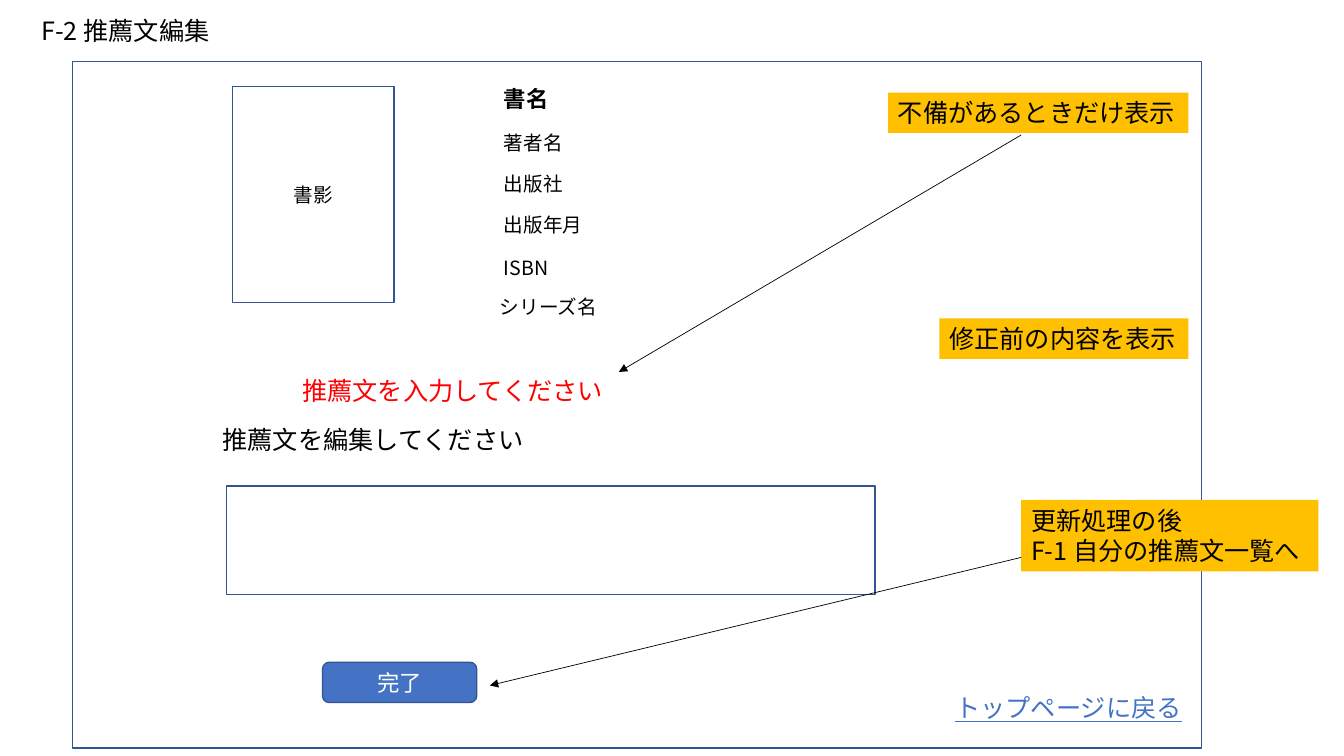
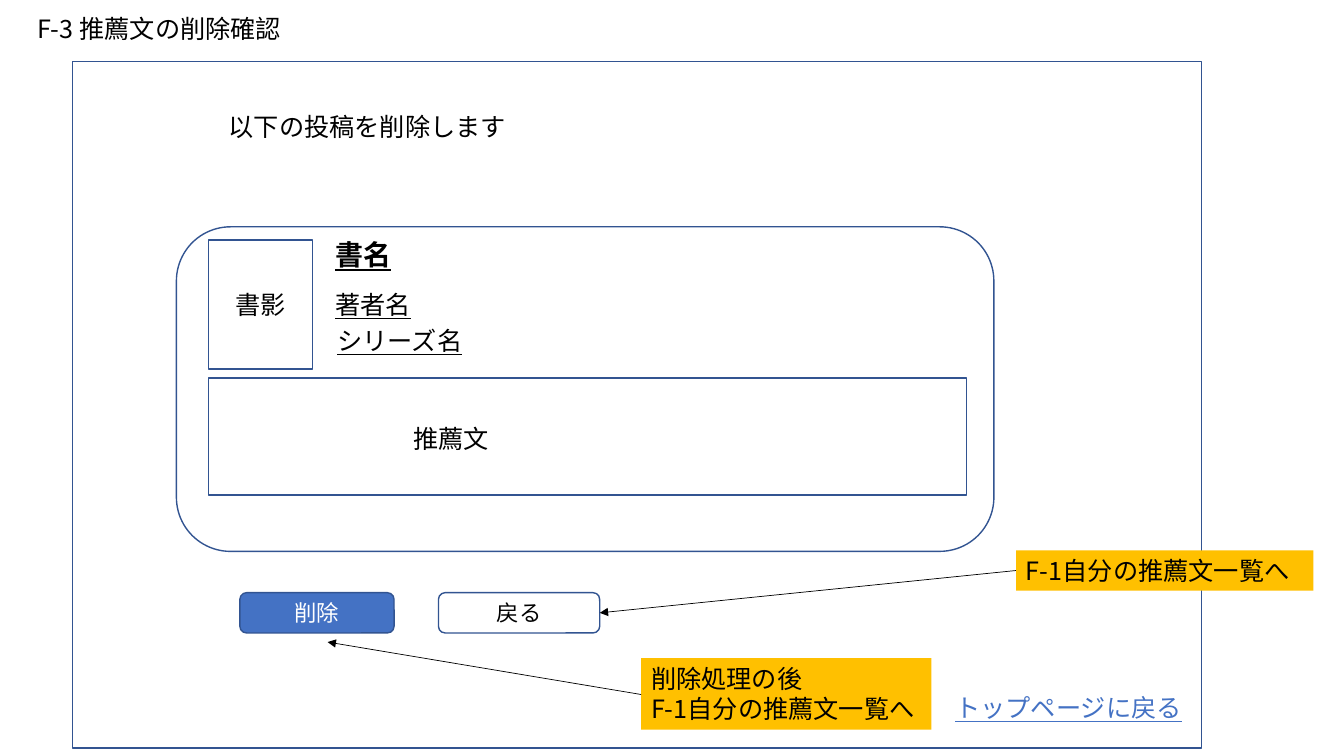
import dataclasses
import typing

import pptx
import pptx.dml.color
import pptx.enum.shapes
import pptx.enum.text
import pptx.oxml
import pptx.oxml.ns
import pptx.util

COLUMNS, ROWS = 133.33, 75
CELL = pptx.util.Inches(0.1)
RECTANGLE = pptx.enum.shapes.MSO_SHAPE.RECTANGLE
ROUNDED = pptx.enum.shapes.MSO_SHAPE.ROUNDED_RECTANGLE


@dataclasses.dataclass(frozen=True)
class Theme:
    font: str = "Noto Sans CJK JP"
    ink: str = "000000"
    white: str = "FFFFFF"
    outline: str = "325491"
    accent: str = "4472C4"
    note: str = "FFC000"
    warning: str = "FF0000"
    small: int = 14
    medium: int = 16
    body: int = 18
    large: int = 20
    outline_width: float = 1
    arrow_width: float = 0.5


THEME = Theme()


@dataclasses.dataclass(frozen=True)
class Style:
    size: int = THEME.body
    ink: str = THEME.ink
    fill: str | None = None
    preset: typing.Any = None
    bold: bool | None = None
    underline: bool | None = None
    wrap: bool = False


LABEL = Style()
WARNING = Style(ink=THEME.warning)
NOTE = Style(fill=THEME.note)
LINK = Style(ink=THEME.accent, underline=True)
UNDERLINED = Style(underline=True)
WRAPPED = Style(wrap=True)
DETAIL = Style(size=THEME.small, wrap=True)
BOOK_TITLE = Style(size=THEME.medium, bold=True, wrap=True)
CARD_TITLE = Style(size=THEME.large, bold=True, underline=True, wrap=True)
PANEL = Style(preset=RECTANGLE, wrap=True)
COVER = Style(size=THEME.small, preset=RECTANGLE, wrap=True)
CARD = Style(preset=ROUNDED, wrap=True)
BUTTON = Style(THEME.medium, THEME.white, THEME.accent, ROUNDED, wrap=True)
PLAIN_BUTTON = Style(size=THEME.medium, preset=ROUNDED, wrap=True)


@dataclasses.dataclass(frozen=True)
class Box:
    style: Style
    column: float
    row: float
    columns: float
    rows: float
    text: str = ""


@dataclasses.dataclass(frozen=True)
class Arrow:
    from_column: float
    from_row: float
    to_column: float
    to_row: float


Item = Box | Arrow

SHARED: list[Item] = [
    Box(PANEL, 7.2, 6.1, 112, 68.1),
    Box(LINK, 93.8, 68.2, 24.7, 4, "トップページに戻る"),
]

BOOK_DETAILS = [
    Box(DETAIL, 49, 12.5, 9.6, 3.4, "著者名"),
    Box(DETAIL, 49, 16.6, 16, 3.4, "出版社"),
    Box(DETAIL, 49, 20.6, 16, 3.4, "出版年月"),
    Box(DETAIL, 49, 24.9, 31, 3.4, "ISBN"),
    Box(DETAIL, 48.6, 28.8, 16, 3.4, "シリーズ名"),
]

EDIT_PAGE: list[Item] = [
    Box(LABEL, 3.1, 1, 19.4, 4, "F-2 推薦文編集"),
    Box(COVER, 23.1, 8.6, 16, 21.4, "書影"),
    Box(BOOK_TITLE, 49, 8, 7.6, 3.7, "書名"),
    *BOOK_DETAILS,
    Box(LABEL, 21.1, 41.6, 32.3, 4, "推薦文を編集してください"),
    Box(PANEL, 22.5, 48.2, 64.3, 10.8),
    Box(WARNING, 29, 36.7, 32.3, 4, "推薦文を入力してください"),
    Box(NOTE, 93.2, 31.6, 24.7, 4, "修正前の内容を表示"),
    Arrow(101.3, 13.4, 61.4, 36.9),
    Box(NOTE, 88.1, 9.2, 29.8, 4, "不備があるときだけ表示"),
    Box(BUTTON, 32, 65.7, 15.3, 4, "完了"),
    Box(NOTE, 101.3, 49.6, 29.5, 7.1, "更新処理の後\nF-1 自分の推薦文一覧へ"),
    Arrow(101.3, 55.3, 48.6, 68),
]

DELETE_PAGE: list[Item] = [
    Box(LABEL, 2.7, 0.8, 27, 4, "F-3 推薦文の削除確認"),
    Box(LABEL, 21.7, 10.6, 29.8, 4, "以下の投稿を削除します"),
    Box(BUTTON, 23.8, 58.8, 15.3, 4, "削除"),
    Box(PLAIN_BUTTON, 43.5, 58.8, 16, 4, "戻る"),
    Arrow(100.8, 56.6, 59.5, 60.8),
    Box(NOTE, 100.8, 54.6, 29.5, 4, "F-1自分の推薦文一覧へ"),
    Box(NOTE, 63.6, 65.3, 28.8, 7.1, "削除処理の後\nF-1自分の推薦文一覧へ"),
    Arrow(63.6, 68.9, 32.5, 63.7),
    Box(CARD, 17.5, 22.5, 81.1, 32.2),
    Box(PANEL, 20.7, 23.8, 10.3, 12.8, "書影"),
    Box(CARD_TITLE, 32.3, 23.1, 7.6, 4.4, "書名"),
    Box(WRAPPED, 40, 41.5, 9.6, 4, "推薦文"),
    Box(UNDERLINED, 32.3, 28.2, 9.6, 4, "著者名"),
    Box(PANEL, 20.7, 37.5, 75.2, 11.6),
    Box(UNDERLINED, 32.5, 31.8, 14.6, 4, "シリーズ名"),
]


def cells(*counts: float) -> list[int]:
    return [round(count * CELL) for count in counts]


def color(value: str) -> pptx.dml.color.RGBColor:
    return pptx.dml.color.RGBColor.from_string(value)


def apply_format(target: typing.Any, values: dict[str, typing.Any]) -> None:
    for name, value in values.items():
        setattr(target, name, value)


def add_element(parent: typing.Any, tag: str, **attributes: str) -> None:
    element = pptx.oxml.parse_xml(f"<{tag} {pptx.oxml.ns.nsdecls('a')}/>")
    for name, value in attributes.items():
        element.set(name, value)
    parent.append(element)


def write_text(shape: typing.Any, box: Box) -> None:
    style = box.style
    centred = style.preset is not None
    sizes = pptx.enum.text.MSO_AUTO_SIZE
    anchors = pptx.enum.text.MSO_ANCHOR
    alignments = pptx.enum.text.PP_ALIGN
    frame = shape.text_frame
    frame.text = box.text
    apply_format(frame, {
        "word_wrap": style.wrap,
        "auto_size": sizes.NONE if centred else sizes.SHAPE_TO_FIT_TEXT,
        "vertical_anchor": anchors.MIDDLE if centred else anchors.TOP,
    })
    for paragraph in frame.paragraphs:
        paragraph.alignment = alignments.CENTER if centred else alignments.LEFT
        for run in paragraph.runs:
            apply_format(run.font, {
                "name": THEME.font,
                "size": pptx.util.Pt(style.size),
                "bold": style.bold,
                "underline": style.underline,
            })
            run.font.color.rgb = color(style.ink)
            add_element(run.font._element, "a:ea", typeface=THEME.font)


def draw_box(slide: typing.Any, box: Box) -> None:
    style = box.style
    area = cells(box.column, box.row, box.columns, box.rows)
    if style.preset is None:
        shape = slide.shapes.add_textbox(*area)
    else:
        shape = slide.shapes.add_shape(style.preset, *area)
        shape.shadow.inherit = False
        shape.line.color.rgb = color(THEME.outline)
        shape.line.width = pptx.util.Pt(THEME.outline_width)
    if style.fill is None:
        shape.fill.background()
    else:
        shape.fill.solid()
        shape.fill.fore_color.rgb = color(style.fill)
    if box.text:
        write_text(shape, box)


def draw_arrow(slide: typing.Any, arrow: Arrow) -> None:
    connector = slide.shapes.add_connector(
        pptx.enum.shapes.MSO_CONNECTOR.STRAIGHT,
        *cells(*dataclasses.astuple(arrow)),
    )
    connector.line.color.rgb = color(THEME.ink)
    connector.line.width = pptx.util.Pt(THEME.arrow_width)
    add_element(connector.line._get_or_add_ln(), "a:tailEnd", type="triangle")
    add_element(connector._element.spPr, "a:effectLst")


def draw_page(presentation: typing.Any, items: list[Item]) -> None:
    slide = presentation.slides.add_slide(presentation.slide_layouts[6])
    for item in SHARED + items:
        if isinstance(item, Box):
            draw_box(slide, item)
        else:
            draw_arrow(slide, item)


def main() -> None:
    presentation = pptx.Presentation()
    width, height = cells(COLUMNS, ROWS)
    apply_format(presentation, {"slide_width": width, "slide_height": height})
    for page in (EDIT_PAGE, DELETE_PAGE):
        draw_page(presentation, page)
    presentation.save("out.pptx")


main()
